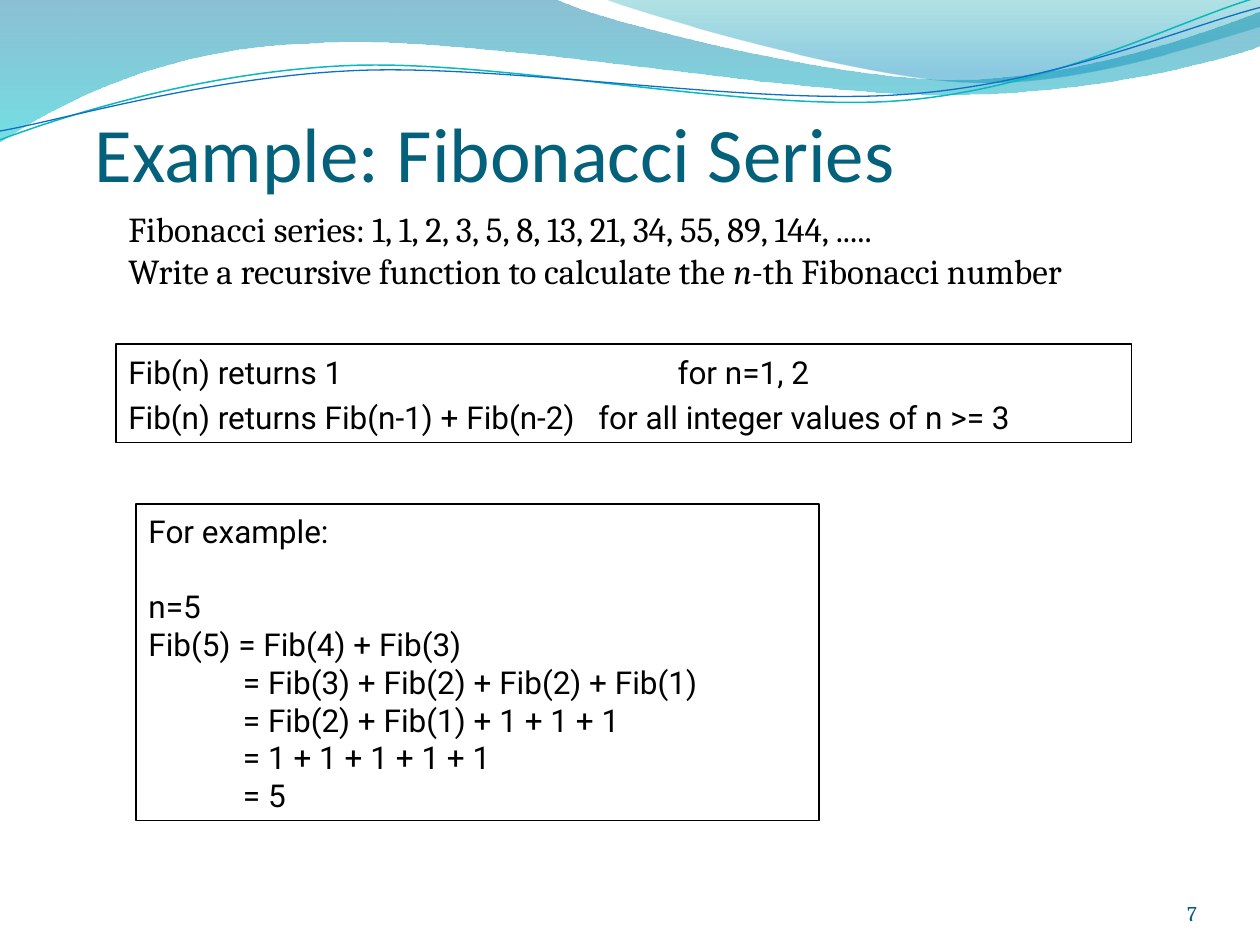
"""Build the Fibonacci series slide with its wave header."""
from math import cos, radians, sin
from lxml.etree import SubElement
from pptx import Presentation
from pptx.dml.color import RGBColor
from pptx.enum.shapes import MSO_SHAPE
from pptx.enum.text import MSO_ANCHOR, MSO_AUTO_SIZE, PP_ALIGN
from pptx.oxml import parse_xml
from pptx.oxml.ns import nsdecls, qn
from pptx.util import Inches, Pt

COLORS = {
    "title": "04617B", "number": "045D75", "text": "000000",
    "deep": "0074A1", "aqua": "00C6CF", "teal": "00A1A9", "sky": "008BBF",
    "teal_line": "0AB8BF", "blue_line": "0F6FC6",
}

# Each segment holds one end point, or two control points and an end point.
WAVES = [
    {"start": (0, 0), "stops": [(0, "deep", 45), (100, "aqua", 55)], "segments": [
        (4.4, -0.01), (4.76, 0.17, 6.64, 0.63, 7.58, 0.63),
        (8.53, 0.63, 9.58, 0.26, 10, 0.09), (10.01, 0.36),
        (9.83, 0.44, 8.7, 0.76, 7.46, 0.75), (6.22, 0.75, 3.82, 0.28, 2.57, 0.34),
        (1.29, 0.36, 0.46, 0.83, -0.01, 1.13), (0, 0)]},
    {"start": (4.79, -0.01), "stops": [(0, "teal", 30), (80, "sky", 45)], "segments": [
        (5.09, 0.11, 6.82, 0.62, 7.69, 0.65), (8.56, 0.69, 9.61, 0.32, 10, 0.21),
        (10, 0), (4.79, -0.01)]},
    {"start": (0, 1.11), "line": ("teal_line", 0.85), "center": (4.99, 0.57), "segments": [
        (0.48, 0.93, 1.58, 0.57, 2.77, 0.52), (3.95, 0.47, 5.93, 0.89, 7.13, 0.8),
        (8.33, 0.71, 9.38, 0.15, 9.98, -0.02)]},
    {"start": (0, 1.04), "line": ("blue_line", 0.75), "center": (5, 0.59), "segments": [
        (0.47, 0.96, 1.64, 0.61, 2.83, 0.56), (4.03, 0.51, 5.97, 0.84, 7.17, 0.75),
        (8.36, 0.67, 9.41, 0.21, 10, 0.06)]},
]
LINE_TILT = -2.7

TEXTS = [
    {"box": (0.75, 0.92, 9.08, 0.65), "font": ("Calibri", 44, "title"),
     "insets": (0, 0.05, 0, 0), "paragraphs": [{"runs": ["Example: Fibonacci Series"]}]},
    {"box": (8.67, 6.95, 0.83, 0.4), "font": ("Cambria", 12, "number"),
     "insets": (0, 0, 0, 0), "align": PP_ALIGN.RIGHT, "paragraphs": [{"runs": ["7"]}]},
    {"box": (0.92, 1.59, 8.09, 0.77), "font": ("Cambria", 20, "text"), "grow": True,
     "paragraphs": [
         {"runs": ["Fibonacci series: 1, 1, 2, 3, 5, 8, 13, 21, 34, 55, 89, 144, ....."]},
         {"runs": ["Write a recursive function to calculate the ", "n-",
                   "th Fibonacci number"], "italic": "n-"}]},
    {"box": (0.92, 2.73, 8.06, 0.78), "font": ("Roboto", 18, "text"),
     "border": True, "grow": True, "paragraphs": [
         {"runs": ["Fib(n) returns 1\tfor n=1, 2"], "tab": 4.36, "after": 4.5},
         {"runs": ["Fib(n) returns Fib(n-1) + Fib(n-2) \tfor all integer values of n >= 3"],
          "tab": 3.73}]},
    {"box": (1.08, 4, 5.42, 2.51), "font": ("Roboto", 18, "text"),
     "border": True, "grow": True, "paragraphs": [
         {"runs": ["For example:"], "after": 21.5},
         {"runs": ["n=5"]},
         {"runs": ["Fib(5) = Fib(4) + Fib(3)"]}] + [
         {"runs": ["\t" + step], "tab": 0.75} for step in (
             "= Fib(3) + Fib(2) + Fib(2) + Fib(1)",
             "= Fib(2) + Fib(1) + 1 + 1 + 1",
             "= 1 + 1 + 1 + 1 + 1",
             "= 5")]},
]


def rgb(name):
    return RGBColor.from_string(COLORS[name])


def turn(point, center, degrees):
    a = radians(degrees)
    dx, dy = point[0] - center[0], point[1] - center[1]
    return (center[0] + dx * cos(a) - dy * sin(a),
            center[1] + dx * sin(a) + dy * cos(a))


def gradient(stops):
    parts = "".join(
        f'<a:gs pos="{pos * 1000}"><a:srgbClr val="{COLORS[name]}">'
        f'<a:alpha val="{alpha * 1000}"/></a:srgbClr></a:gs>'
        for pos, name, alpha in stops)
    return parse_xml(f'<a:gradFill {nsdecls("a")} rotWithShape="1"><a:gsLst>{parts}</a:gsLst>'
                     '<a:lin ang="5400000" scaled="0"/></a:gradFill>')


def bend(sp, segments):
    lines = iter(list(sp._element.iter(qn("a:lnTo"))))
    for seg in segments:
        first = next(lines)
        if len(seg) == 6:
            first.tag = qn("a:cubicBezTo")
            for line in (next(lines), next(lines)):
                first.append(line[0])
                line.getparent().remove(line)


def add_wave(slide, wave):
    points = [wave["start"]]
    for seg in wave["segments"]:
        points += zip(seg[::2], seg[1::2])
    if "center" in wave:
        points = [turn(pt, wave["center"], -LINE_TILT) for pt in points]
    points = [(Inches(x), Inches(y)) for x, y in points]
    builder = slide.shapes.build_freeform(*points[0])
    builder.add_line_segments(points[1:], close="stops" in wave)
    sp = builder.convert_to_shape()
    bend(sp, wave["segments"])
    sp.shadow.inherit = False
    if "stops" in wave:
        sp.line.fill.background()
        sp._element.spPr.find(qn("a:custGeom")).addnext(gradient(wave["stops"]))
    else:
        name, width = wave["line"]
        sp.rotation = LINE_TILT
        sp.fill.background()
        sp.line.color.rgb = rgb(name)
        sp.line.width = Pt(width)


def add_text(slide, item):
    box = [Inches(v) for v in item["box"]]
    if item.get("border"):
        sp = slide.shapes.add_shape(MSO_SHAPE.RECTANGLE, *box)
        sp.shadow.inherit = False
        sp.fill.background()
        sp.line.color.rgb = rgb("text")
        sp.line.width = Pt(0.75)
    else:
        sp = slide.shapes.add_textbox(*box)
    tf = sp.text_frame
    tf.word_wrap = True
    tf.vertical_anchor = MSO_ANCHOR.BOTTOM
    if item.get("grow"):
        tf.auto_size = MSO_AUTO_SIZE.SHAPE_TO_FIT_TEXT
    tf.margin_left, tf.margin_top, tf.margin_right, tf.margin_bottom = (
        Inches(v) for v in item.get("insets", (0.1, 0.05, 0.1, 0.05)))
    font, size, color = item["font"]
    for i, para in enumerate(item["paragraphs"]):
        p = tf.add_paragraph() if i else tf.paragraphs[0]
        p.alignment = item.get("align", PP_ALIGN.LEFT)
        p.space_after = Pt(para.get("after", 0))
        if "tab" in para:
            tabs = SubElement(p._p.get_or_add_pPr(), qn("a:tabLst"))
            SubElement(tabs, qn("a:tab"), pos=str(Inches(para["tab"])), algn="l")
        for text in para["runs"]:
            r = p.add_run()
            r.text = text
            r.font.name = font
            r.font.size = Pt(size)
            r.font.color.rgb = rgb(color)
            r.font.italic = text == para.get("italic")


def main():
    prs = Presentation()
    prs.slide_width, prs.slide_height = Inches(10), Inches(7.5)
    slide = prs.slides.add_slide(prs.slide_layouts[6])
    for wave in WAVES:
        add_wave(slide, wave)
    for item in TEXTS:
        add_text(slide, item)
    prs.save("out.pptx")


if __name__ == "__main__":
    main()
